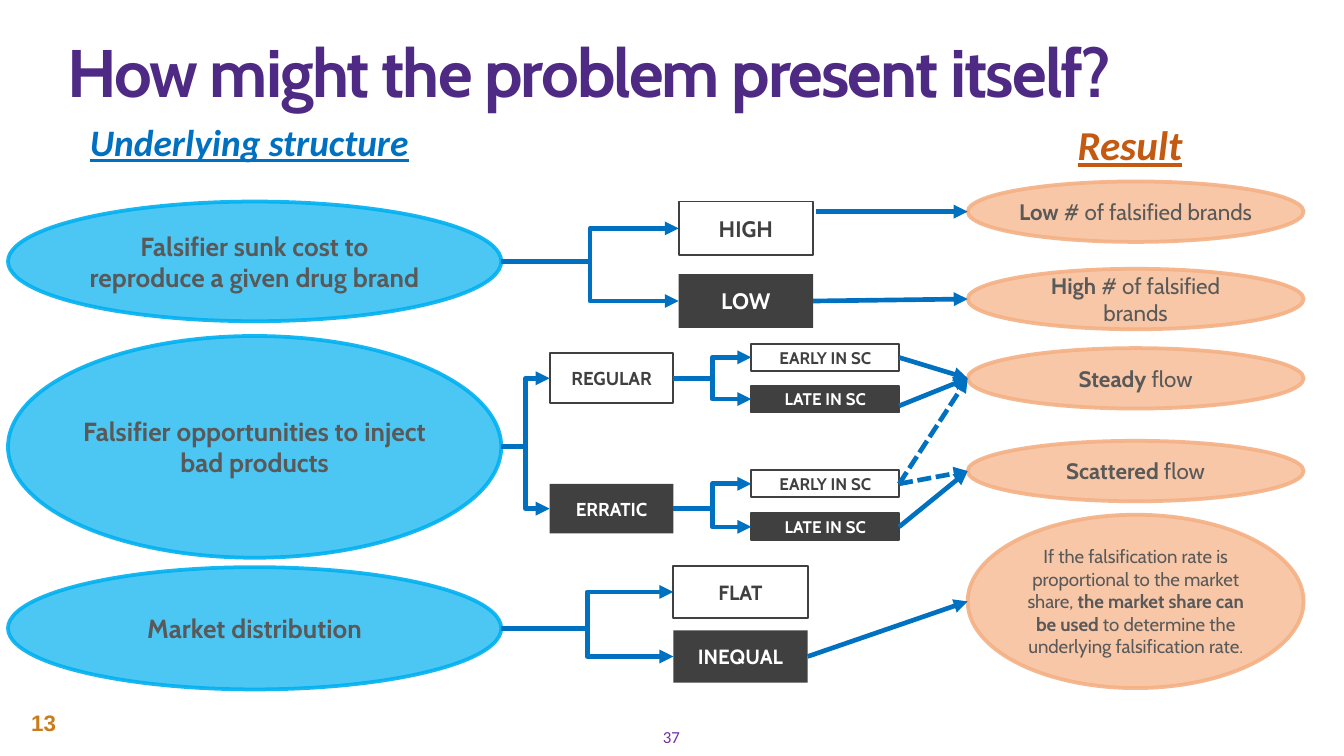
from lxml import etree
from pptx import Presentation
from pptx.dml.color import RGBColor
from pptx.enum.dml import MSO_LINE
from pptx.enum.shapes import MSO_CONNECTOR, MSO_SHAPE
from pptx.enum.text import MSO_ANCHOR, PP_ALIGN
from pptx.oxml.ns import qn
from pptx.util import Inches, Pt

ELLIPSE, RECT = MSO_SHAPE.OVAL, MSO_SHAPE.RECTANGLE
STRAIGHT, ELBOW = MSO_CONNECTOR.STRAIGHT, MSO_CONNECTOR.ELBOW
LEFT, CENTER = PP_ALIGN.LEFT, PP_ALIGN.CENTER
TOP, MIDDLE, BOTTOM = MSO_ANCHOR.TOP, MSO_ANCHOR.MIDDLE, MSO_ANCHOR.BOTTOM
DASH = MSO_LINE.SQUARE_DOT

# Columns of the diagram: left edge and width in inches
CAUSE_COL = (0.06, 3.67)
COST_COL = (5.05, 1)
PATTERN_COL = (4.09, 0.92)
STAGE_COL = (5.59, 1.1)
MARKET_COL = (5.01, 1)
RESULT_COL = (7.2, 2.5)

SKY, PEACH, BLUE = "00B0F0", "F4B083", "0070C0"
WHITE, DARK, GREY = "FFFFFF", "404040", "595959"
DEFAULT_INSETS = (0.1, 0.05, 0.1, 0.05)


def paint(fill, color, alpha=None):
    """Make a fill solid, with an opacity in percent if one is given."""
    fill.solid()
    fill.fore_color.rgb = RGBColor.from_string(color)
    if alpha is not None:
        node = fill._xPr.find(qn("a:solidFill")).find(qn("a:srgbClr"))
        etree.SubElement(node, qn("a:alpha")).set("val", str(alpha * 1000))


def write(box, spans, size, color, font="Cabin", align=CENTER, anchor=MIDDLE,
          insets=(0, 0, 0, 0), italic=False, underline=False):
    """Fill a box with one paragraph of (text, bold) spans."""
    frame = box.text_frame
    frame.word_wrap = True
    frame.vertical_anchor = anchor
    (frame.margin_left, frame.margin_top,
     frame.margin_right, frame.margin_bottom) = [Inches(i) for i in insets]
    para = frame.paragraphs[0]
    para.alignment = align
    for text, bold in spans:
        span = para.add_run()
        span.text = text
        span.font.name, span.font.size = font, Pt(size)
        span.font.bold, span.font.italic = bold, italic
        span.font.underline = underline
        paint(span.font.fill, color)
    return para


def add_label(page, area, text, size, color, bold=True, **style):
    box = page.shapes.add_textbox(*[Inches(v) for v in area])
    return write(box, [(text, bold)], size, color, **style)


def add_block(page, kind, column, top, height):
    left, width = column
    block = page.shapes.add_shape(
        kind, Inches(left), Inches(top), Inches(width), Inches(height))
    block.shadow.inherit = False
    return block


def add_ellipse(page, column, top, height, color, spans, size):
    oval = add_block(page, ELLIPSE, column, top, height)
    paint(oval.fill, color, 70)
    oval.line.width = Pt(2)
    paint(oval.line.fill, color, 90)
    write(oval, spans, size, GREY)
    return oval


def add_option(page, column, top, height, text, size, dark, outlined):
    option = add_block(page, RECT, column, top, height)
    paint(option.fill, DARK if dark else WHITE)
    if outlined:
        option.line.width = Pt(1)
        paint(option.line.fill, DARK)
    else:
        option.line.fill.background()
    write(option, [(text, True)], size, WHITE if dark else DARK,
          insets=(0.1, 0.1, 0.1, 0.1))
    return option


def add_pair(page, column, tops, height, texts, size, outline_both=False):
    """A white outlined option above a dark one."""
    return [add_option(page, column, top, height, text, size, dark,
                       outline_both or not dark)
            for top, text, dark in zip(tops, texts, (False, True))]


def middle(shape):
    return shape.top + shape.height // 2


def add_arrow(page, start, end, kind=STRAIGHT, dash=None, gap=0, drop=0):
    """Arrow from the right side of one shape to the left side of another."""
    arrow = page.shapes.add_connector(
        kind, start.left + start.width + Inches(gap), middle(start) + drop,
        end.left, middle(end))
    arrow.line.width = Pt(2.5)
    paint(arrow.line.fill, BLUE)
    if dash is not None:
        arrow.line.dash_style = dash
    line = arrow.line._get_or_add_ln()
    etree.SubElement(line, qn("a:tailEnd")).set("type", "triangle")
    etree.SubElement(arrow._element.spPr, qn("a:effectLst"))


def add_fork(page, start, ends):
    for end in ends:
        add_arrow(page, start, end, ELBOW)


def add_headings(page):
    title = add_label(page, (0.5, 0.23, 9.18, 0.6),
                      "How might the problem present itself?", 36, "4E2A84",
                      align=LEFT, anchor=BOTTOM)
    title.line_spacing = 0.85
    title.runs[0].font._element.set("spc", "-100")
    for left, width, text, size, color in (
            (0.57, 2.64, "Underlying structure", 20, BLUE),
            (7.92, 1.05, "Result", 22, "C45911")):
        add_label(page, (left, 0.84, width, 0.51), text, size, color,
                  font="Calibri", align=LEFT, anchor=TOP, italic=True,
                  underline=True, insets=DEFAULT_INSETS)


def add_page_numbers(page):
    add_label(page, (4.12, 5.38, 1.75, 0.2), "37", 9, "7030A0", bold=False,
              font="Calibri", insets=DEFAULT_INSETS)
    add_label(page, (0.15, 5.23, 0.37, 0.3), "13", 12, "CA7C1B",
              font="Arial", insets=(0.03, 0.05, 0.05, 0.05))


def main():
    deck = Presentation()
    deck.slide_width = Inches(10)
    deck.slide_height = deck.slide_width * 9 // 16
    page = deck.slides.add_slide(deck.slide_layouts[6])
    add_headings(page)

    # Causes on the left
    cost, chance, market = [
        add_ellipse(page, CAUSE_COL, top, height, SKY, [(text, True)], 14)
        for top, height, text in (
            (1.5, 0.89, "Falsifier sunk cost to reproduce a given drug brand"),
            (2.5, 1.65, "Falsifier opportunities to inject bad products"),
            (4.22, 0.91, "Market distribution"))]

    # Results on the right
    few, many, steady, scattered = [
        add_ellipse(page, RESULT_COL, top, 0.45, PEACH,
                    [(strong, True), (rest, False)], 12)
        for top, strong, rest in (
            (1.35, "Low ", "# of falsified brands"),
            (2, "High ", "# of falsified brands"),
            (2.59, "Steady ", "flow"),
            (3.28, "Scattered ", "flow"))]
    rate = add_ellipse(page, RESULT_COL, 3.83, 1.29, PEACH, [
        ("If the falsification rate is proportional to the market share,", False),
        (" the market share can be used ", True),
        ("to determine the underlying falsification rate.", False)], 10)

    # Options in between
    high, low = add_pair(page, COST_COL, (1.5, 2.04), 0.4, ("HIGH", "LOW"), 12)
    regular, erratic = add_pair(page, PATTERN_COL, (2.63, 3.6), 0.37,
                                ("REGULAR", "ERRATIC"), 10)
    (regular_early, regular_late), (erratic_early, erratic_late) = [
        add_pair(page, STAGE_COL, tops, 0.2, ("EARLY IN SC", "LATE IN SC"), 9,
                 outline_both=True)
        for tops in ((2.56, 2.87), (3.5, 3.82))]
    flat, inequal = add_pair(page, MARKET_COL, (4.21, 4.69), 0.39,
                             ("FLAT", "INEQUAL"), 11)

    # Forks from each cause to its options
    add_fork(page, cost, (high, low))
    add_fork(page, chance, (regular, erratic))
    add_fork(page, regular, (regular_early, regular_late))
    add_fork(page, erratic, (erratic_early, erratic_late))
    add_fork(page, market, (flat, inequal))

    # Arrows from options to results
    add_arrow(page, high, few, gap=0.02, drop=middle(few) - middle(high))
    add_arrow(page, low, many)
    add_arrow(page, regular_early, steady)
    add_arrow(page, regular_late, steady, drop=Inches(0.05))
    add_arrow(page, erratic_early, steady, dash=DASH)
    add_arrow(page, erratic_early, scattered, dash=DASH)
    add_arrow(page, erratic_late, scattered)
    add_arrow(page, inequal, rate)

    add_page_numbers(page)
    deck.save("out.pptx")


if __name__ == "__main__":
    main()
